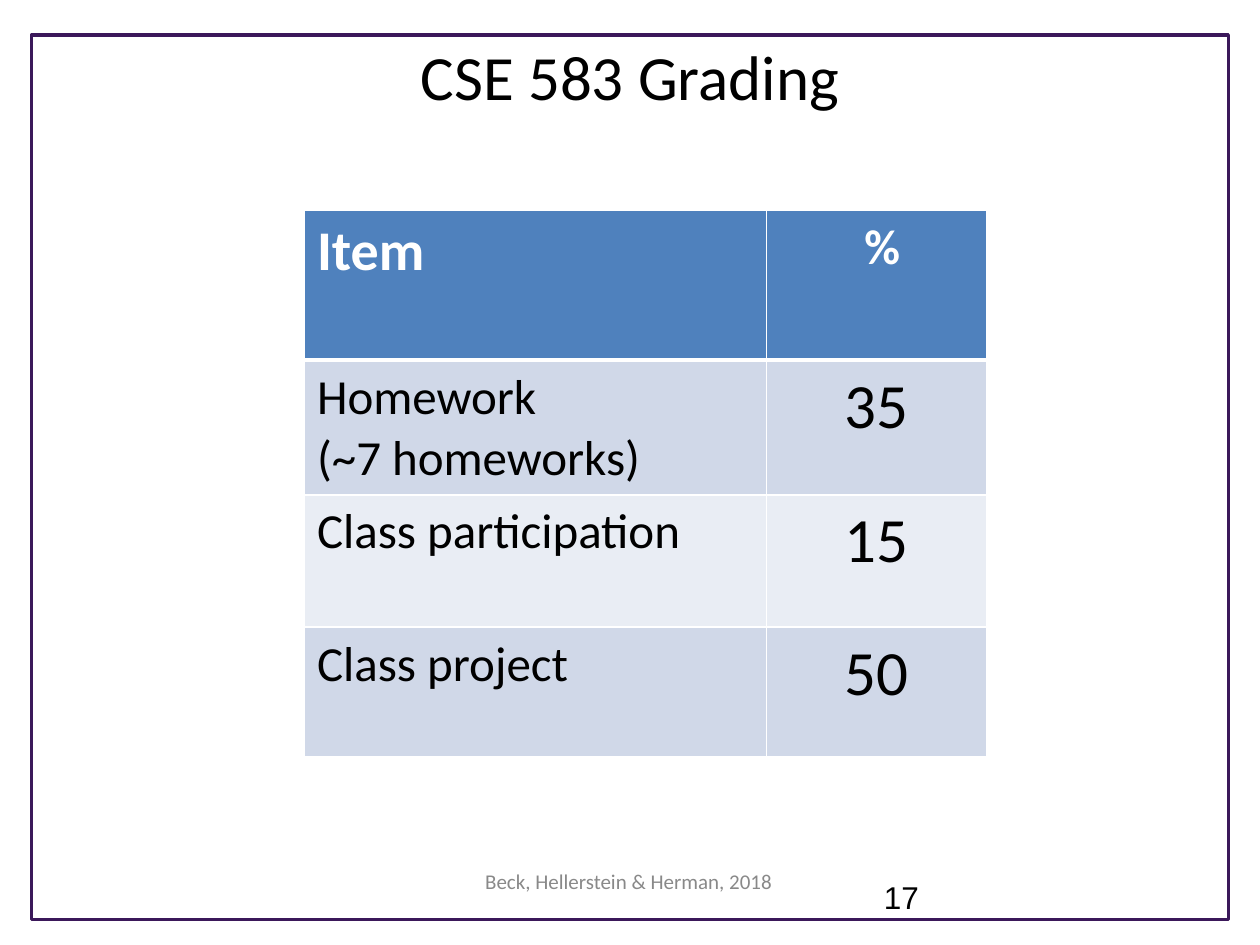
from dataclasses import dataclass

from lxml.etree import SubElement
from pptx import Presentation
from pptx.dml.color import RGBColor
from pptx.enum.shapes import MSO_SHAPE
from pptx.enum.text import MSO_ANCHOR, PP_ALIGN
from pptx.oxml.ns import qn
from pptx.util import Pt

BLACK, WHITE = "000000", "FFFFFF"
COL_WIDTHS = (264, 126)
THIN, THICK = 0.91, 2.95


@dataclass
class GradeRow:
    item: str
    percent: str
    height: float
    fill: str
    color: str = BLACK
    item_size: int = 28
    percent_size: int = 36
    bold: bool = False
    top: float = THIN
    bottom: float = THIN


ROWS = (
    GradeRow("Item", " %", 85.8, "4F81BD", WHITE, 32, 28, True, bottom=THICK),
    GradeRow("Homework\n(~7 homeworks)", "35", 75.5, "D0D8E8", top=THICK),
    GradeRow("Class participation", "15", 75.6, "E9EDF4"),
    GradeRow("Class project", "50", 74.1, "D0D8E8"),
)


def rgb(value: str) -> RGBColor:
    return RGBColor.from_string(value)


def write(tf, text: str, *, size: float, font: str = "Calibri", color: str = BLACK,
          bold: bool = False, align=PP_ALIGN.LEFT, spacing: float = 1.0) -> None:
    """Fill a text frame, one paragraph per line of text."""
    tf.word_wrap = True
    for i, line in enumerate(text.split("\n")):
        p = tf.add_paragraph() if i else tf.paragraphs[0]
        p.alignment, p.line_spacing = align, spacing
        r = p.add_run()
        r.text = line
        r.font.size, r.font.name, r.font.bold = Pt(size), font, bold
        r.font.color.rgb = rgb(color)


def add_label(s, text: str, left: float, top: float, width: float, height: float,
              **fmt) -> None:
    box = s.shapes.add_textbox(Pt(left), Pt(top), Pt(width), Pt(height))
    write(box.text_frame, text, **fmt)


def set_borders(cell, top: float, bottom: float) -> None:
    """White borders; they precede the fill in the cell properties."""
    tcPr = cell._tc.get_or_add_tcPr()
    sides = (("a:lnL", THIN), ("a:lnR", THIN), ("a:lnT", top), ("a:lnB", bottom))
    for i, (tag, width) in enumerate(sides):
        ln = SubElement(tcPr, qn(tag), w=str(Pt(width)))
        SubElement(SubElement(ln, qn("a:solidFill")), qn("a:srgbClr"), val=WHITE)
        tcPr.insert(i, ln)


def add_grade_table(s, left: float, top: float) -> None:
    height = sum(row.height for row in ROWS)
    table = s.shapes.add_table(len(ROWS), len(COL_WIDTHS), Pt(left), Pt(top),
                               Pt(sum(COL_WIDTHS)), Pt(height)).table
    for col, width in zip(table.columns, COL_WIDTHS):
        col.width = Pt(width)
    for i, row in enumerate(ROWS):
        table.rows[i].height = Pt(row.height)
        columns = ((row.item, row.item_size, PP_ALIGN.LEFT),
                   (row.percent, row.percent_size, PP_ALIGN.CENTER))
        for j, (text, size, align) in enumerate(columns):
            cell = table.cell(i, j)
            cell.fill.solid()
            cell.fill.fore_color.rgb = rgb(row.fill)
            set_borders(cell, row.top, row.bottom)
            write(cell.text_frame, text, size=size, color=row.color,
                  bold=row.bold, align=align, spacing=1.02)


def main() -> None:
    prs = Presentation()
    prs.slide_width, prs.slide_height = Pt(720), Pt(540)
    s = prs.slides.add_slide(prs.slide_layouts[5])

    # Frame around the slide
    frame = s.shapes.add_shape(MSO_SHAPE.RECTANGLE, Pt(18), Pt(20), Pt(684), Pt(505.5))
    frame.shadow.inherit = False
    frame.fill.background()
    frame.line.color.rgb = rgb("3B185A")
    frame.line.width = Pt(1.75)

    # Title
    title = s.shapes.title
    title.left, title.top, title.width, title.height = Pt(36), Pt(18), Pt(648), Pt(66)
    title.text_frame.vertical_anchor = MSO_ANCHOR.TOP
    write(title.text_frame, "CSE 583 Grading", size=36, align=PP_ALIGN.CENTER)

    # Grading table
    add_grade_table(s, 174, 120)

    # Slide number and footer
    add_label(s, "17", 498, 498, 138, 29, size=18, font="Arial")
    add_label(s, "Beck, Hellerstein & Herman, 2018", 245.5, 493, 227.5, 29,
              size=12, color="898989", align=PP_ALIGN.CENTER)

    prs.save("out.pptx")


if __name__ == "__main__":
    main()
